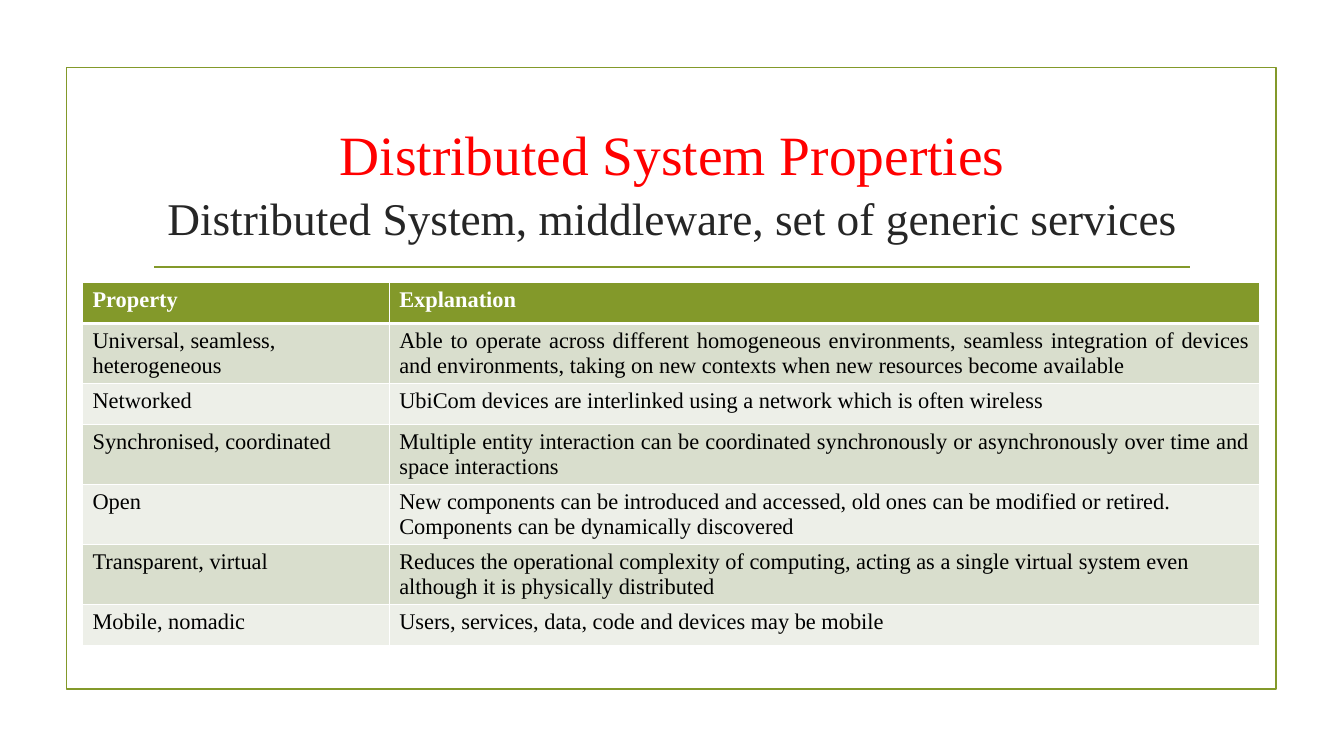
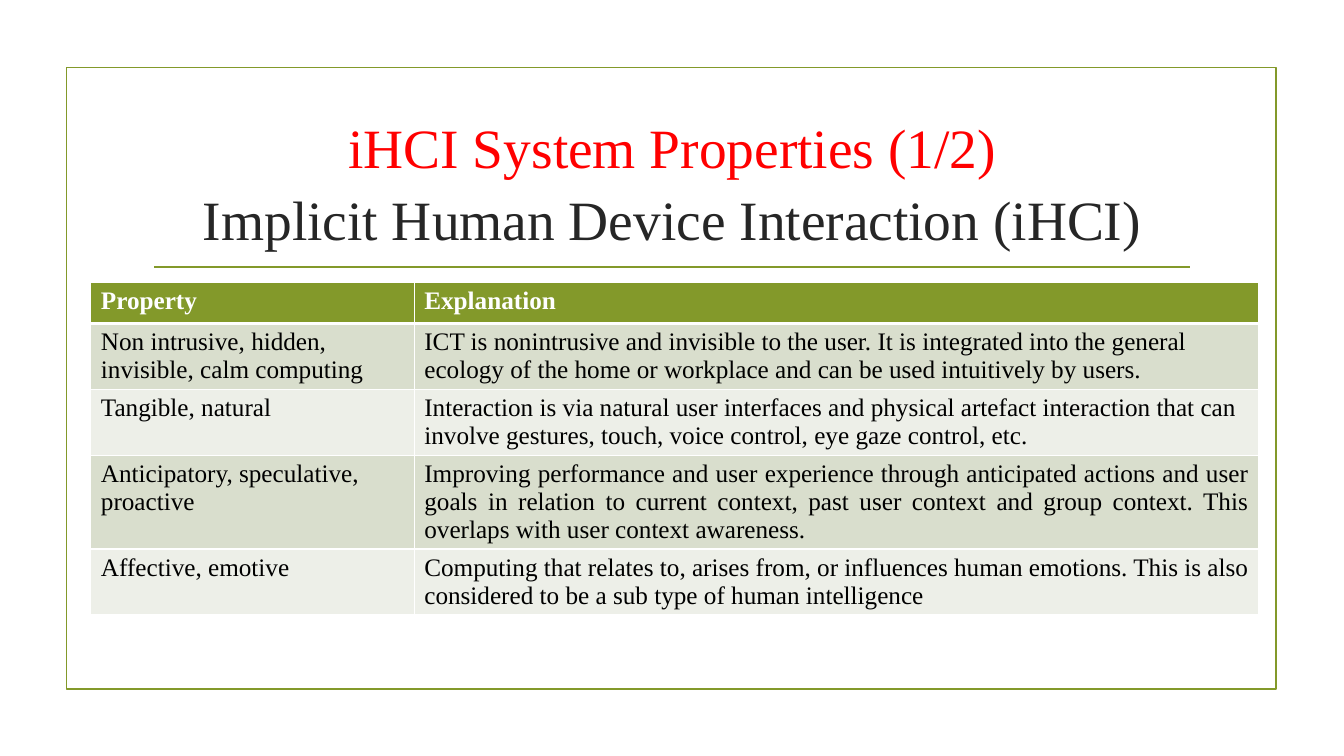
import lxml.etree
import pptx
import pptx.dml.color
import pptx.enum.shapes
import pptx.enum.text
import pptx.oxml.ns
import pptx.util
from pptx.util import Cm

GREEN, RED, CHARCOAL = "83992A", "FF0000", "262626"
WHITE, BLACK = "FFFFFF", "000000"
BANDS = ("D9DECD", "EDEFE8")
FONT = "Times New Roman"
TITLE_SIZE = 39.6
ALIGN = pptx.enum.text.PP_ALIGN


def color(hex_string):
    return pptx.dml.color.RGBColor.from_string(hex_string)


class Deck:
    """Holds the shared style and the slide being built."""

    def __init__(self):
        self.presentation = pptx.Presentation()
        self.presentation.slide_width = Cm(33.87)
        self.presentation.slide_height = Cm(19.05)
        self.slide = None

    def add_slide(self, heading, subheading, subheading_size=TITLE_SIZE):
        layout = self.presentation.slide_layouts.get_by_name("Title Only")
        self.slide = self.presentation.slides.add_slide(layout)
        self.add_frame()
        self.add_rule()
        self.set_title(heading, subheading, subheading_size)

    def add_frame(self):
        frame = self.slide.shapes.add_shape(
            pptx.enum.shapes.MSO_SHAPE.RECTANGLE,
            Cm(1.68), Cm(1.7), Cm(30.48), Cm(15.67))
        frame.shadow.inherit = False
        frame.fill.background()
        self.style_line(frame.line)

    def add_rule(self):
        rule = self.slide.shapes.add_connector(
            pptx.enum.shapes.MSO_CONNECTOR.STRAIGHT,
            Cm(3.89), Cm(6.73), Cm(30), Cm(6.73))
        lxml.etree.SubElement(rule._element.spPr, pptx.oxml.ns.qn("a:effectLst"))
        self.style_line(rule.line)

    def style_line(self, line):
        line.color.rgb = color(GREEN)
        line.width = pptx.util.Pt(1.25)

    def set_title(self, heading, subheading, subheading_size):
        title = self.slide.shapes.title
        title.left, title.top = Cm(3.61), Cm(2.72)
        title.width, title.height = Cm(26.67), Cm(3.63)
        frame = title.text_frame
        frame.word_wrap = True
        frame.auto_size = pptx.enum.text.MSO_AUTO_SIZE.NONE
        frame.vertical_anchor = pptx.enum.text.MSO_ANCHOR.MIDDLE
        paragraph = frame.paragraphs[0]
        paragraph.alignment = ALIGN.CENTER
        paragraph.line_spacing = 1.07
        self.add_run(paragraph, heading, TITLE_SIZE, RED)
        paragraph.add_line_break()
        self.add_run(paragraph, subheading, subheading_size, CHARCOAL)

    def add_run(self, paragraph, text, size, hex_string):
        run = paragraph.add_run()
        run.text = text
        self.style_font(run.font, size, hex_string)

    def style_font(self, font, size, hex_string, bold=False):
        font.name = FONT
        font.size = pptx.util.Pt(size)
        font.color.rgb = color(hex_string)
        font.bold = bold

    def add_table(self, left, column_widths, size, rows, justified):
        """Draw a header and banded rows; justified lists row numbers."""
        rows = [("Property", "Explanation")] + rows
        row_height = Cm(1.04)
        table = self.slide.shapes.add_table(
            len(rows), len(column_widths), left, Cm(7.11),
            sum(column_widths), row_height * len(rows)).table
        table.horz_banding = False
        for column, width in zip(table.columns, column_widths):
            column.width = width
        for row_number, texts in enumerate(rows):
            table.rows[row_number].height = row_height
            is_header = row_number == 0
            fill = GREEN if is_header else BANDS[(row_number - 1) % 2]
            for column_number, text in enumerate(texts):
                cell = table.cell(row_number, column_number)
                self.set_borders(cell, top=3 if row_number == 1 else 1,
                                 bottom=3 if is_header else 1)
                cell.fill.solid()
                cell.fill.fore_color.rgb = color(fill)
                cell.text = text
                for paragraph in cell.text_frame.paragraphs:
                    self.style_font(paragraph.font, size,
                                    WHITE if is_header else BLACK, is_header)
                    if column_number == 1 and row_number in justified:
                        paragraph.alignment = ALIGN.JUSTIFY

    def set_borders(self, cell, top, bottom):
        properties = cell._tc.get_or_add_tcPr()
        qn = pptx.oxml.ns.qn
        for side, width in (("L", 1), ("R", 1), ("T", top), ("B", bottom)):
            border = lxml.etree.SubElement(
                properties, qn("a:ln" + side), w=str(pptx.util.Pt(width)))
            fill = lxml.etree.SubElement(border, qn("a:solidFill"))
            lxml.etree.SubElement(fill, qn("a:srgbClr"), val=WHITE)


def main():
    deck = Deck()

    # Distributed systems
    deck.add_slide("Distributed System Properties",
                   "Distributed System, middleware, set of generic services", 32.4)
    deck.add_table(Cm(2.08), (Cm(7.73), Cm(21.93)), 16, [
        ("Universal, seamless,\nheterogeneous",
         "Able to operate across different homogeneous environments, seamless "
         "integration of devices and environments, taking on new contexts when "
         "new resources become available"),
        ("Networked",
         "UbiCom devices are interlinked using a network which is often wireless"),
        ("Synchronised, coordinated",
         "Multiple entity interaction can be coordinated synchronously or "
         "asynchronously over time and space interactions"),
        ("Open",
         "New components can be introduced and accessed, old ones can be modified "
         "or retired. Components can be dynamically discovered"),
        ("Transparent, virtual",
         "Reduces the operational complexity of computing, acting as a single "
         "virtual system even although it is physically distributed"),
        ("Mobile, nomadic",
         "Users, services, data, code and devices may be mobile"),
    ], justified=(1, 3))

    # Implicit human device interaction
    deck.add_slide("iHCI System Properties (1/2)",
                   "Implicit Human Device Interaction (iHCI)")
    deck.add_table(Cm(2.29), (Cm(8.15), Cm(21.29)), 18, [
        ("Non intrusive, hidden, invisible, calm computing",
         "ICT is nonintrusive and invisible to the user. It is integrated into the "
         "general ecology of the home or workplace and can be used intuitively by "
         "users."),
        ("Tangible, natural",
         "Interaction is via natural user interfaces and physical artefact "
         "interaction that can involve gestures, touch, voice control, eye gaze "
         "control, etc."),
        ("Anticipatory, speculative, proactive",
         "Improving performance and user experience through anticipated actions "
         "and user goals in relation to current context, past user context and "
         "group context. This overlaps with user context awareness."),
        ("Affective, emotive",
         "Computing that relates to, arises from, or influences human emotions. "
         "This is also considered to be a sub type of human intelligence"),
    ], justified=(3, 4))

    deck.presentation.save("out.pptx")


if __name__ == "__main__":
    main()
